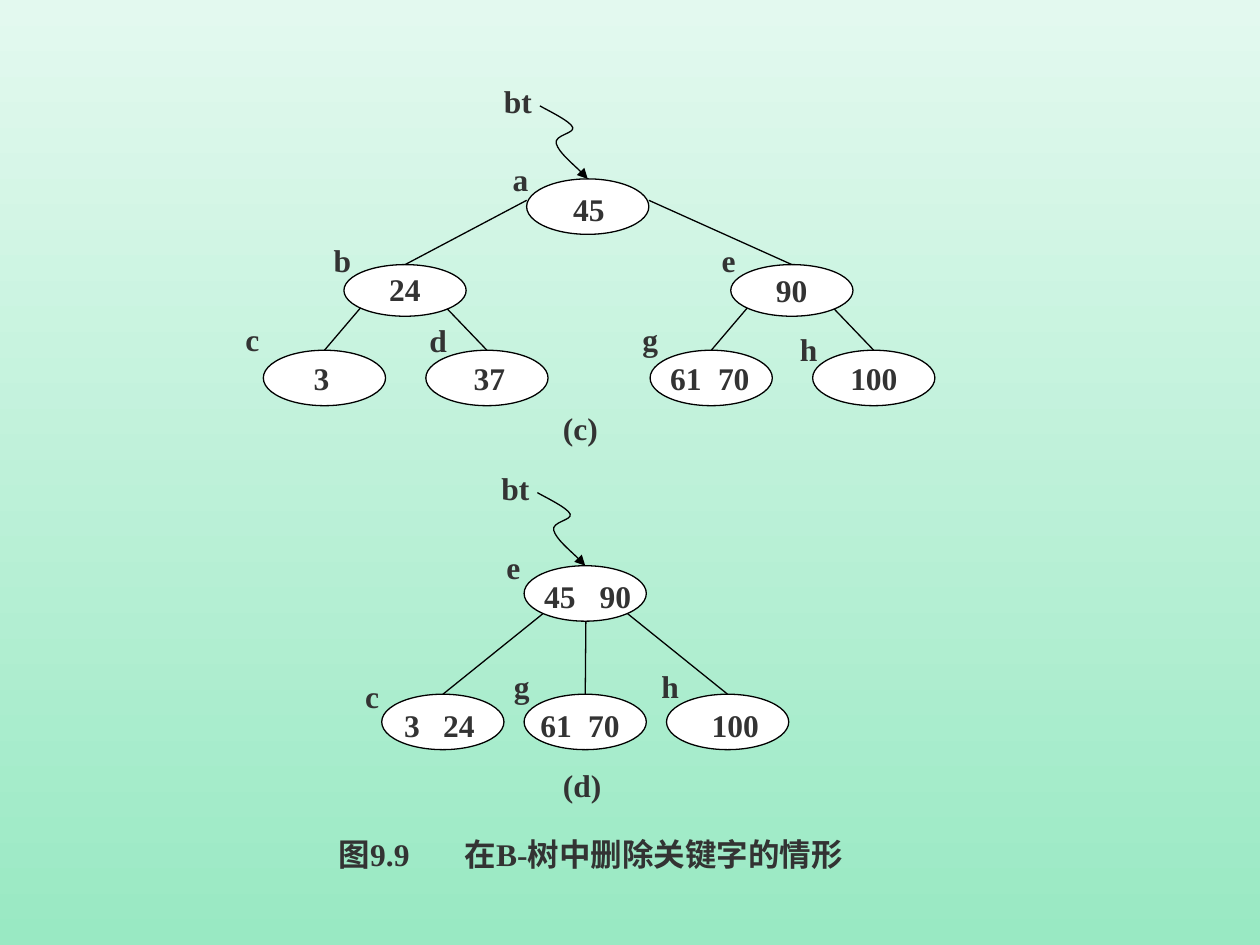
from dataclasses import dataclass
from typing import Optional

from lxml.etree import SubElement
from pptx import Presentation
from pptx.dml.color import RGBColor
from pptx.enum.shapes import MSO_CONNECTOR, MSO_SHAPE
from pptx.enum.text import MSO_ANCHOR, MSO_AUTO_SIZE
from pptx.oxml.ns import qn
from pptx.util import Inches, Pt

COLORS = {"top": "E3F9EF", "bottom": "99E9C3", "node": "FFFFFF",
          "line": "000000", "text": "333333"}
NODE_W = 0.97
LINE_W = Pt(0.75)
# Cubic curve control points, measured back from the arrow tip
SQUIGGLE = [(-0.38, -0.58), (-0.33, -0.55), (-0.14, -0.46), (-0.12, -0.41),
            (-0.10, -0.36), (-0.27, -0.35), (-0.25, -0.28), (-0.23, -0.21),
            (-0.05, -0.06), (0, 0)]
ROOT_STARTS = ((0, 0.17), (NODE_W, 0.17))
INNER_STARTS = ((0.16, 0.31), (0.78, 0.31))
MERGED_STARTS = ((0.15, 0.38), (0.49, 0.42), (0.82, 0.38))


@dataclass
class Label:
    text: str
    x: float
    y: float
    w: float
    tab: Optional[float] = None


@dataclass
class Node:
    x: float
    y: float
    name: Label
    keys: Label
    h: float = 0.44
    starts: tuple = ()  # where each child's edge leaves, from the node's corner
    children: tuple = ()


TREE_C = Node(
    4.18, 1.42, Label("a", 3.97, 1.22, 0.39), Label("45", 4.45, 1.46, 0.45),
    starts=ROOT_STARTS, children=(
        Node(2.73, 2.1, Label("b", 2.55, 1.86, 0.4), Label("24", 2.99, 2.09, 0.51),
             h=0.41, starts=INNER_STARTS, children=(
                 Node(2.09, 2.78, Label("c", 1.85, 2.49, 0.37), Label("3", 2.39, 2.8, 0.32)),
                 Node(3.38, 2.78, Label("d", 3.31, 2.5, 0.4), Label("37", 3.66, 2.8, 0.51)))),
        Node(5.8, 2.1, Label("e", 5.63, 1.86, 0.37), Label("90", 6.06, 2.1, 0.51),
             h=0.41, starts=INNER_STARTS, children=(
                 Node(5.16, 2.78, Label("g", 5, 2.49, 0.39),
                      Label("61\t70", 5.22, 2.8, 0.89, 0.38)),
                 Node(6.45, 2.78, Label("h", 6.25, 2.57, 0.4),
                      Label("100", 6.65, 2.8, 0.64))))))

TREE_D = Node(
    4.16, 4.49, Label("e", 3.92, 4.3, 0.37), Label("45\t90", 4.22, 4.53, 0.95, 0.44),
    starts=MERGED_STARTS, children=(
        Node(3.03, 5.51, Label("c", 2.8, 5.32, 0.37), Label("3\t24", 3.11, 5.55, 0.76, 0.31)),
        Node(4.16, 5.51, Label("g", 3.98, 5.24, 0.39), Label("61\t70", 4.19, 5.55, 0.89, 0.38)),
        Node(5.29, 5.51, Label("h", 5.15, 5.24, 0.4), Label("100", 5.55, 5.55, 0.64))))

CAPTIONS = (Label("(c)", 4.37, 3.2, 0.54), Label("(d)", 4.37, 6.03, 0.57),
            Label("图9.9\t在B-树中删除关键字的情形", 2.59, 6.58, 4.37, 1))


def rgb(name: str) -> RGBColor:
    return RGBColor.from_string(COLORS[name])


def style_line(sp) -> None:
    sp.line.color.rgb = rgb("line")
    sp.line.width = LINE_W


def add_label(s, label: Label) -> None:
    tb = s.shapes.add_textbox(Inches(label.x), Inches(label.y), Inches(label.w), Inches(0.4))
    tf = tb.text_frame
    tf.word_wrap = False
    tf.auto_size = MSO_AUTO_SIZE.SHAPE_TO_FIT_TEXT
    tf.vertical_anchor = MSO_ANCHOR.MIDDLE
    p = tf.paragraphs[0]
    p.text = label.text
    if label.tab is not None:
        tabs = SubElement(p._p.get_or_add_pPr(), qn("a:tabLst"))
        SubElement(tabs, qn("a:tab"), pos=str(Inches(label.tab)), algn="l")
    p.font.size = Pt(18)
    p.font.bold = True
    p.font.name = "Times New Roman"
    p.font.color.rgb = rgb("text")


def add_edge(s, x: float, y: float, child) -> None:
    """Join a point on the parent to the top of the child's ellipse."""
    line = s.shapes.add_connector(MSO_CONNECTOR.STRAIGHT, Inches(x), Inches(y),
                                  child.left, child.top)
    line.end_connect(child, 0)
    style_line(line)
    SubElement(line._element.spPr, qn("a:effectLst"))


def add_tree(s, node: Node):
    """Draw children, then edges, then the node, so that it covers edge ends."""
    ovals = [add_tree(s, child) for child in node.children]
    for (dx, dy), oval in zip(node.starts, ovals):
        add_edge(s, node.x + dx, node.y + dy, oval)
    sp = s.shapes.add_shape(MSO_SHAPE.OVAL, Inches(node.x), Inches(node.y),
                            Inches(NODE_W), Inches(node.h))
    sp.shadow.inherit = False
    sp.fill.solid()
    sp.fill.fore_color.rgb = rgb("node")
    style_line(sp)
    add_label(s, node.name)
    add_label(s, node.keys)
    return sp


def add_root_pointer(s, root: Node) -> None:
    """Draw the curved arrow from "bt" to the top of the root."""
    tip_x, tip_y = root.x + NODE_W / 2, root.y
    points = [(Inches(tip_x + dx), Inches(tip_y + dy)) for dx, dy in SQUIGGLE]
    builder = s.shapes.build_freeform(*points[0])
    builder.add_line_segments(points[1:], close=False)
    sp = builder.convert_to_shape()
    path = sp._element.spPr.find(".//" + qn("a:path"))
    segments = path.findall(qn("a:lnTo"))
    for i in range(0, len(segments), 3):
        curve = SubElement(path, qn("a:cubicBezTo"))
        for segment in segments[i:i + 3]:
            curve.append(segment[0])
            path.remove(segment)
    sp.shadow.inherit = False
    sp.fill.background()
    style_line(sp)
    SubElement(sp.line._get_or_add_ln(), qn("a:tailEnd"), type="triangle")
    add_label(s, Label("bt", root.x - 0.28, root.y - 0.82, 0.48))


def set_background(s) -> None:
    fill = s.background.fill
    fill.gradient()
    fill.gradient_angle = 270
    for stop, name, position in zip(fill.gradient_stops, ("top", "bottom"), (0, 1)):
        stop.color.rgb = rgb(name)
        stop.position = position


def main() -> None:
    prs = Presentation()
    prs.slide_width, prs.slide_height = Inches(10), Inches(7.5)
    s = prs.slides.add_slide(prs.slide_layouts[6])
    set_background(s)
    for root in (TREE_C, TREE_D):
        add_tree(s, root)
        add_root_pointer(s, root)
    for caption in CAPTIONS:
        add_label(s, caption)
    prs.save("out.pptx")


if __name__ == "__main__":
    main()
